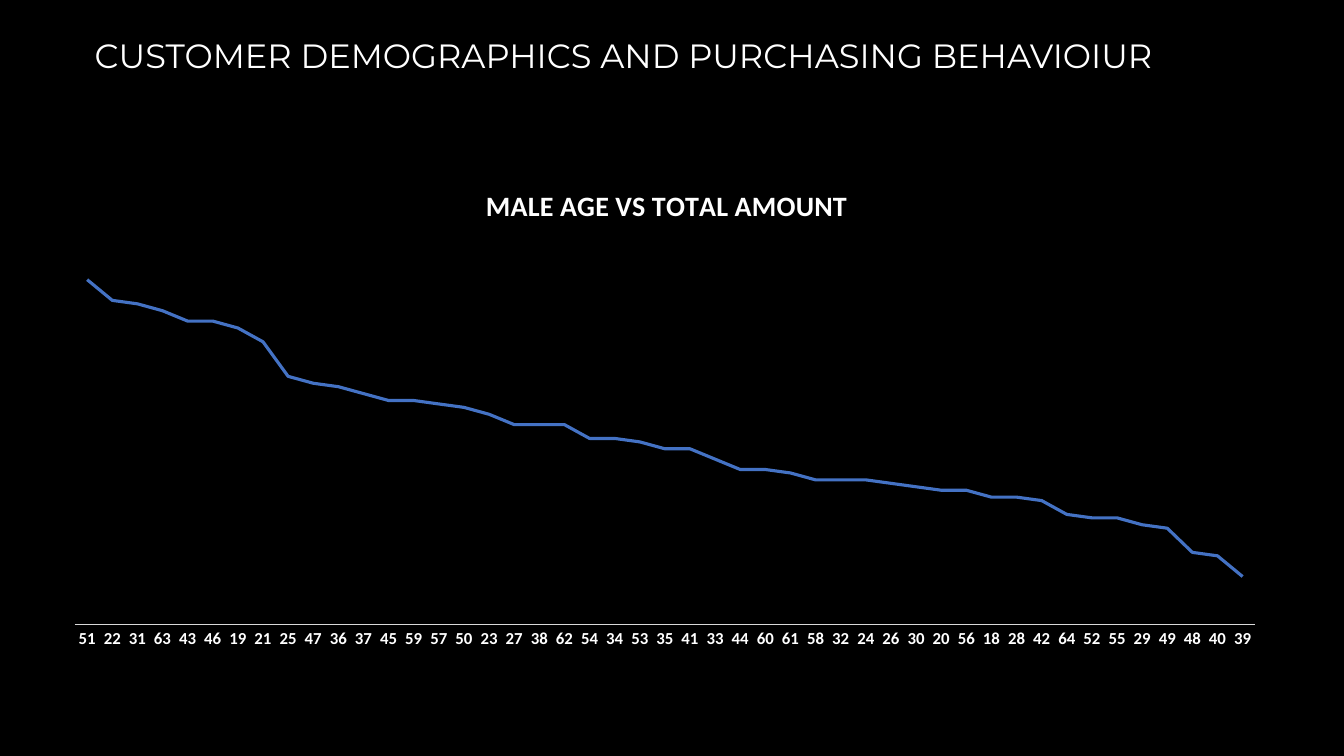
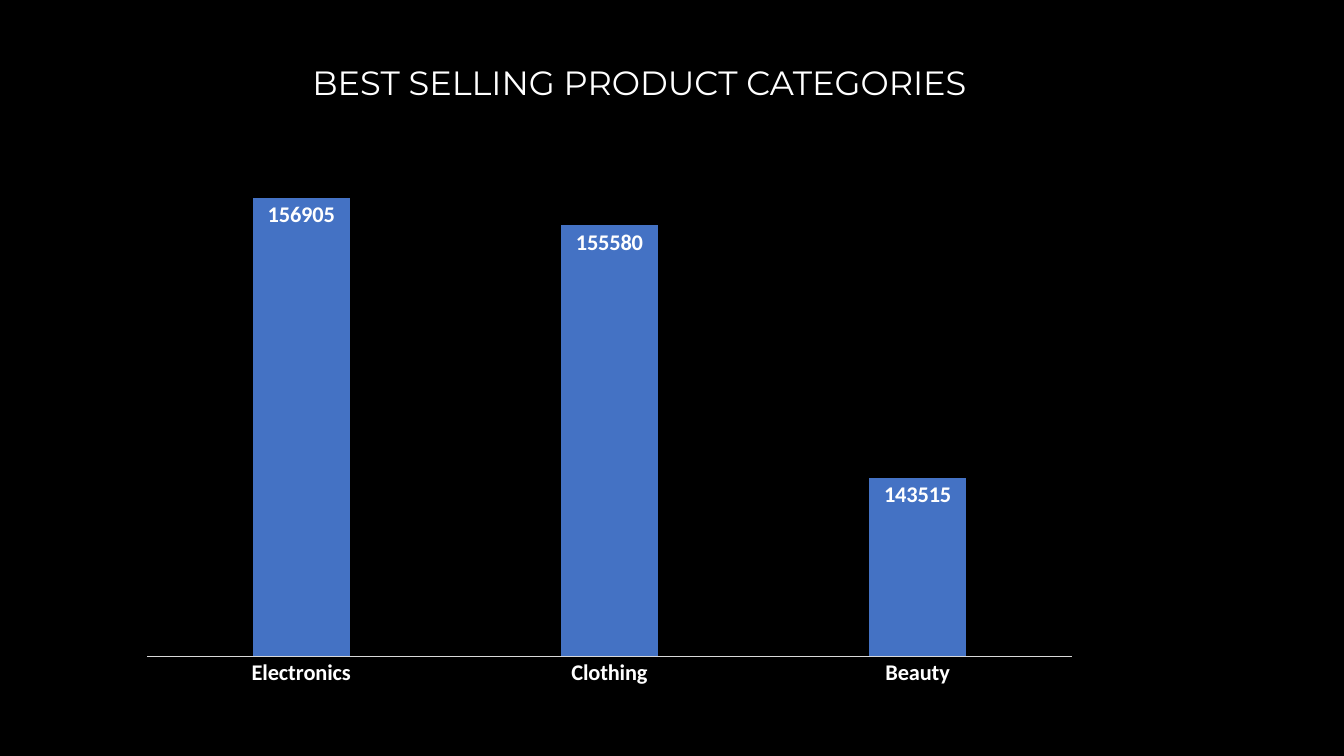
import lxml.etree
import pptx
import pptx.chart.data
import pptx.dml.color
import pptx.enum.chart
import pptx.oxml.ns
import pptx.util

Inches = pptx.util.Inches
Pt = pptx.util.Pt
RGBColor = pptx.dml.color.RGBColor
ChartType = pptx.enum.chart.XL_CHART_TYPE
qn = pptx.oxml.ns.qn

BLACK = RGBColor(0x00, 0x00, 0x00)
WHITE = RGBColor(0xFF, 0xFF, 0xFF)
BLUE = RGBColor(0x44, 0x72, 0xC4)
AXIS_GREY = RGBColor(0xD9, 0xD9, 0xD9)
HEADING_FONT = "Montserrat"
CHART_FONT = "Calibri"

MALE_AGES = [
    51, 22, 31, 63, 43, 46, 19, 21, 25, 47, 36, 37, 45, 59, 57, 50,
    23, 27, 38, 62, 54, 34, 53, 35, 41, 33, 44, 60, 61, 58, 32, 24,
    26, 30, 20, 56, 18, 28, 42, 64, 52, 55, 29, 49, 48, 40, 39,
]
MALE_AMOUNTS = [
    100, 94, 93, 91, 88, 88, 86, 82, 72, 70, 69, 67, 65, 65, 64, 63,
    61, 58, 58, 58, 54, 54, 53, 51, 51, 48, 45, 45, 44, 42, 42, 42,
    41, 40, 39, 39, 37, 37, 36, 32, 31, 31, 29, 28, 21, 20, 14,
]
CATEGORY_SALES = {"Electronics": 156905, "Clothing": 155580, "Beauty": 143515}


def style_font(font, size, name=CHART_FONT, bold=True, color=WHITE):
    """Apply face, size, weight and colour to a font."""
    font.name = name
    font.size = Pt(size)
    font.bold = bold
    font.color.rgb = color


def write_text(frame, text, **font_format):
    """Write one formatted run into a text frame."""
    run = frame.paragraphs[0].add_run()
    run.text = text
    style_font(run.font, **font_format)


def add_dark_slide(deck, heading, left, top, width):
    """Add a black slide with its heading."""
    slide = deck.slides.add_slide(deck.slide_layouts[6])
    slide.background.fill.solid()
    slide.background.fill.fore_color.rgb = BLACK
    box = slide.shapes.add_textbox(Inches(left), Inches(top), Inches(width), Inches(0.5))
    box.text_frame.word_wrap = True
    write_text(box.text_frame, heading, size=24, name=HEADING_FONT, bold=False)
    return slide


def set_layout(parent, position, fractions, inner=False):
    """Fix a chart part at fractions of the chart area."""
    for previous in parent.findall(qn("c:layout")):
        parent.remove(previous)
    layout = lxml.etree.Element(qn("c:layout"))
    manual = lxml.etree.SubElement(layout, qn("c:manualLayout"))
    settings = {"layoutTarget": "inner"} if inner else {}
    settings.update(xMode="edge", yMode="edge")
    settings.update(zip("xywh", fractions))
    for tag, value in settings.items():
        lxml.etree.SubElement(manual, qn("c:" + tag)).set("val", str(value))
    parent.insert(position, layout)


def add_sales_chart(slide, kind, box, plot, categories, values, scale, label_size):
    """Add a single-series chart with its plot placed in inches inside the box."""
    data = pptx.chart.data.CategoryChartData()
    data.categories = [str(category) for category in categories]
    data.add_series("Series 1", values)
    chart = slide.shapes.add_chart(kind, *map(Inches, box), data).chart
    chart.has_legend = False
    chart.has_title = False
    style_font(chart.font, 10, bold=False)
    chart.plots[0].vary_by_categories = False

    amounts = chart.value_axis
    amounts.minimum_scale, amounts.maximum_scale = scale
    amounts.has_major_gridlines = False
    amounts.visible = False

    names = chart.category_axis
    names.major_tick_mark = pptx.enum.chart.XL_TICK_MARK.NONE
    names.format.line.color.rgb = AXIS_GREY
    names.format.line.width = Pt(0.75)
    style_font(names.tick_labels.font, label_size)

    width, height = box[2:]
    left, top, plot_width, plot_height = plot
    fractions = (left / width, top / height, plot_width / width, plot_height / height)
    plot_area = chart.plots[0]._element.getparent()
    set_layout(plot_area, 0, fractions, inner=True)
    return chart


def build_demographics(deck):
    """Build the slide on male age and total amount."""
    slide = add_dark_slide(
        deck, "CUSTOMER DEMOGRAPHICS AND PURCHASING BEHAVIOIUR", 0.84, 0.3, 11.64)
    chart = add_sales_chart(
        slide, ChartType.LINE, (0.5, 1.54, 12.2, 5), (0.24, 0.55, 11.71, 4.11),
        MALE_AGES, MALE_AMOUNTS, (0, 120), 12)
    trend = chart.plots[0].series[0]
    trend.smooth = False
    trend.marker.style = pptx.enum.chart.XL_MARKER_STYLE.NONE
    trend.format.line.color.rgb = BLUE
    trend.format.line.width = Pt(2.25)
    chart.has_title = True
    write_text(chart.chart_title.text_frame, "MALE AGE VS TOTAL AMOUNT", size=20)
    chart.chart_title.include_in_layout = False
    set_layout(chart.chart_title._element, 1, (0.35, 0.05))


def build_best_sellers(deck):
    """Build the slide on sales by product category."""
    slide = add_dark_slide(deck, "BEST SELLING PRODUCT CATEGORIES", 3, 0.57, 7.53)
    chart = add_sales_chart(
        slide, ChartType.COLUMN_CLUSTERED, (1.26, 1.21, 9.55, 5.72),
        (0.2, 0.11, 9.17, 5.19), CATEGORY_SALES, CATEGORY_SALES.values(),
        (135000, 160000), 16)
    columns = chart.plots[0]
    columns.gap_width = 219
    columns.overlap = -27
    columns.series[0].format.fill.solid()
    columns.series[0].format.fill.fore_color.rgb = BLUE
    columns.has_data_labels = True
    labels = columns.data_labels
    labels.show_value = True
    labels.position = pptx.enum.chart.XL_LABEL_POSITION.INSIDE_END
    style_font(labels.font, 16)


def main():
    """Build and save the deck."""
    deck = pptx.Presentation()
    deck.slide_width = Inches(13.33)
    deck.slide_height = Inches(7.5)
    build_demographics(deck)
    build_best_sellers(deck)
    deck.save("out.pptx")


if __name__ == "__main__":
    main()
